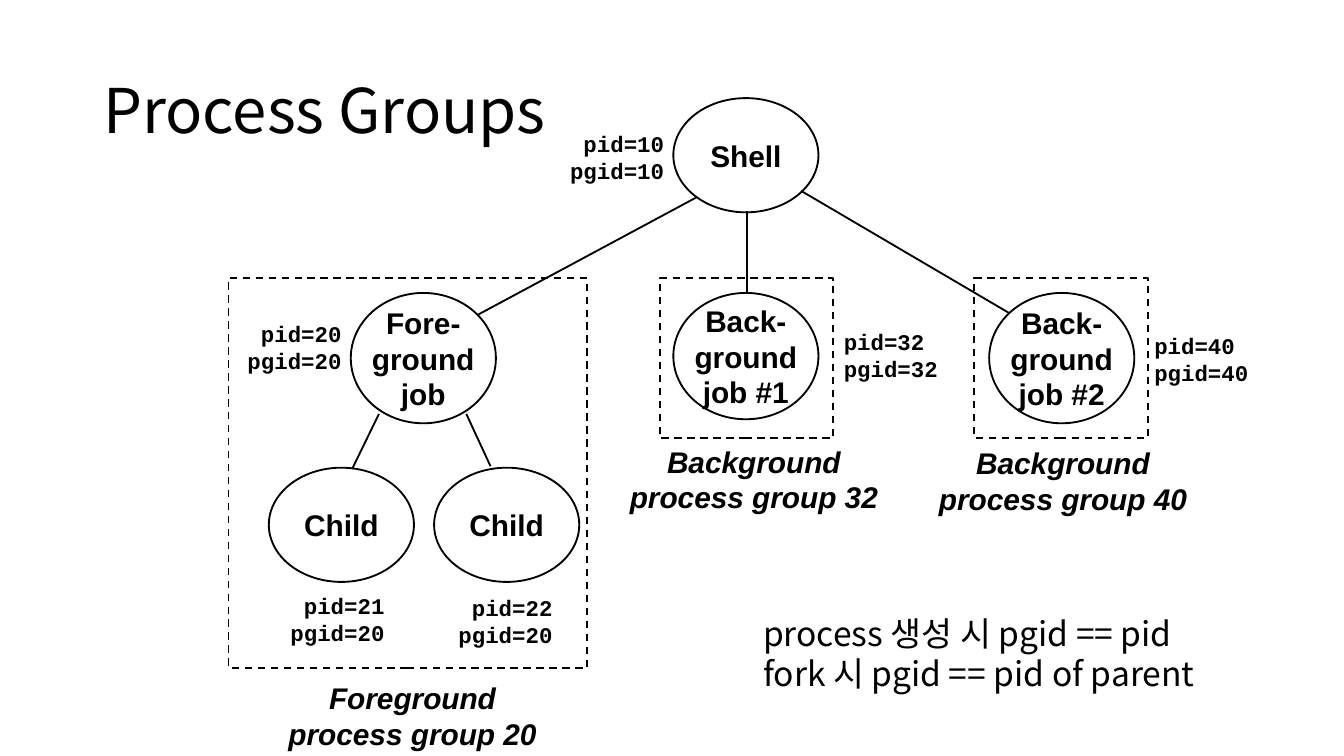
from typing import NamedTuple

from lxml.etree import SubElement
from pptx import Presentation
from pptx.dml.color import RGBColor
from pptx.enum.dml import MSO_LINE
from pptx.enum.shapes import MSO_CONNECTOR, MSO_SHAPE
from pptx.enum.text import MSO_ANCHOR, PP_ALIGN
from pptx.oxml.ns import qn
from pptx.util import Inches, Pt

BLACK = RGBColor(0x00, 0x00, 0x00)
WHITE = RGBColor(0xFF, 0xFF, 0xFF)
LEFT, CENTER, RIGHT = PP_ALIGN.LEFT, PP_ALIGN.CENTER, PP_ALIGN.RIGHT


class Style(NamedTuple):
    font: str
    size: int
    bold: bool = False
    italic: bool = False


class Process(NamedTuple):
    text: str
    left: float
    top: float
    height: float


class Link(NamedTuple):
    x1: float
    y1: float
    x2: float
    y2: float


class Group(NamedTuple):
    left: float
    width: float
    height: float


class Label(NamedTuple):
    text: str
    left: float
    top: float
    align: PP_ALIGN


TITLE = Style("Noto Sans CJK KR", 33)
NODE = Style("Arial", 16, bold=True)
CAPTION = Style("Arial", 16, bold=True, italic=True)
CODE = Style("Courier New", 12, bold=True)
NOTE = Style("Noto Sans CJK KR", 18)

NODE_WIDTH = 1.08
GROUP_TOP = 2.07

PROCESSES = [
    Process("Fore-\nground\njob", 2.61, 2.18, 0.97),
    Process("Back-\nground\njob #1", 5.01, 2.18, 0.94),
    Process("Back-\nground\njob #2", 7.36, 2.18, 0.97),
    Process("Shell", 5.01, 0.73, 0.85),
    Process("Child", 2.0, 3.48, 0.85),
    Process("Child", 3.23, 3.48, 0.85),
]
LINKS = [
    Link(2.82, 3.08, 2.62, 3.49),
    Link(3.47, 3.08, 3.65, 3.47),
    Link(5.56, 1.57, 5.56, 2.18),
    Link(5.18, 1.47, 3.56, 2.34),
    Link(5.96, 1.42, 7.51, 2.33),
]
GROUPS = [Group(1.7, 2.67, 2.9), Group(4.91, 1.29, 1.19), Group(7.25, 1.29, 1.19)]
CAPTIONS = [
    Label("Foreground\nprocess group 20", 2.04, 5.01, CENTER),
    Label("Background\nprocess group 32", 4.58, 3.25, CENTER),
    Label("Background\nprocess group 40", 6.88, 3.26, CENTER),
]
IDS = [
    Label("pid=10\npgid=10", 4.14, 0.92, RIGHT),
    Label("pid=20\npgid=20", 1.74, 2.33, RIGHT),
    Label("pid=32\npgid=32", 6.18, 2.39, LEFT),
    Label("pid=40\npgid=40", 8.49, 2.42, LEFT),
    Label("pid=21\npgid=20", 2.06, 4.36, RIGHT),
    Label("pid=22\npgid=20", 3.31, 4.37, RIGHT),
]
RULES = Label("process 생성 시 pgid == pid\nfork 시 pgid == pid of parent", 5.58, 4.51, LEFT)


def write(shape, text: str, style: Style, align: PP_ALIGN, anchor=MSO_ANCHOR.MIDDLE) -> None:
    frame = shape.text_frame
    frame.text = text
    frame.word_wrap = False
    frame.vertical_anchor = anchor
    for para in frame.paragraphs:
        para.alignment = align
        font = para.font
        font.name, font.size = style.font, Pt(style.size)
        font.bold, font.italic = style.bold, style.italic
        font.color.rgb = BLACK
        # Korean letters take the East Asian font
        SubElement(font._element, qn("a:ea"), typeface=style.font)


def outline(shape) -> None:
    shape.line.color.rgb = BLACK
    shape.line.width = Pt(1)


def add_process(page, process: Process) -> None:
    oval = page.shapes.add_shape(
        MSO_SHAPE.OVAL, Inches(process.left), Inches(process.top),
        Inches(NODE_WIDTH), Inches(process.height))
    oval.shadow.inherit = False
    oval.fill.solid()
    oval.fill.fore_color.rgb = WHITE
    outline(oval)
    write(oval, process.text, NODE, CENTER)


def add_link(page, link: Link) -> None:
    line = page.shapes.add_connector(MSO_CONNECTOR.STRAIGHT, *map(Inches, link))
    outline(line)
    SubElement(line._element.spPr, qn("a:effectLst"))


def add_group(page, group: Group) -> None:
    frame = page.shapes.add_shape(
        MSO_SHAPE.RECTANGLE, Inches(group.left), Inches(GROUP_TOP),
        Inches(group.width), Inches(group.height))
    frame.shadow.inherit = False
    frame.fill.background()
    outline(frame)
    frame.line.dash_style = MSO_LINE.DASH


def add_label(page, label: Label, width: float, height: float, style: Style,
              anchor=MSO_ANCHOR.MIDDLE) -> None:
    box = page.shapes.add_textbox(
        Inches(label.left), Inches(label.top), Inches(width), Inches(height))
    write(box, label.text, style, label.align, anchor)


def main() -> None:
    # Widescreen page, 16 to 9
    deck = Presentation()
    deck.slide_width = Inches(10)
    deck.slide_height = deck.slide_width * 9 // 16
    page = deck.slides.add_slide(deck.slide_layouts[5])

    # Title
    title = page.shapes.title
    title.left, title.top = Inches(0.69), Inches(0.3)
    title.width, title.height = Inches(8.62), Inches(1.09)
    write(title, "Process Groups", TITLE, LEFT)
    frame = title.text_frame
    frame.word_wrap = True
    frame.margin_left = frame.margin_right = Inches(0.08)
    frame.margin_top = frame.margin_bottom = Inches(0.04)
    frame.paragraphs[0].line_spacing = 0.9

    # Process tree
    for process in PROCESSES:
        add_process(page, process)
    for link in LINKS:
        add_link(page, link)

    # Process groups and their captions, wide enough for their longest line
    for group in GROUPS:
        add_group(page, group)
    for caption in CAPTIONS:
        add_label(page, caption, 2.06, 0.63, CAPTION)

    # Process and group ids
    for ids in IDS:
        add_label(page, ids, 0.9, 0.5, CODE)

    # Rules for group ids
    add_label(page, RULES, 3.55, 0.7, NOTE, MSO_ANCHOR.TOP)

    deck.save("out.pptx")


if __name__ == "__main__":
    main()
